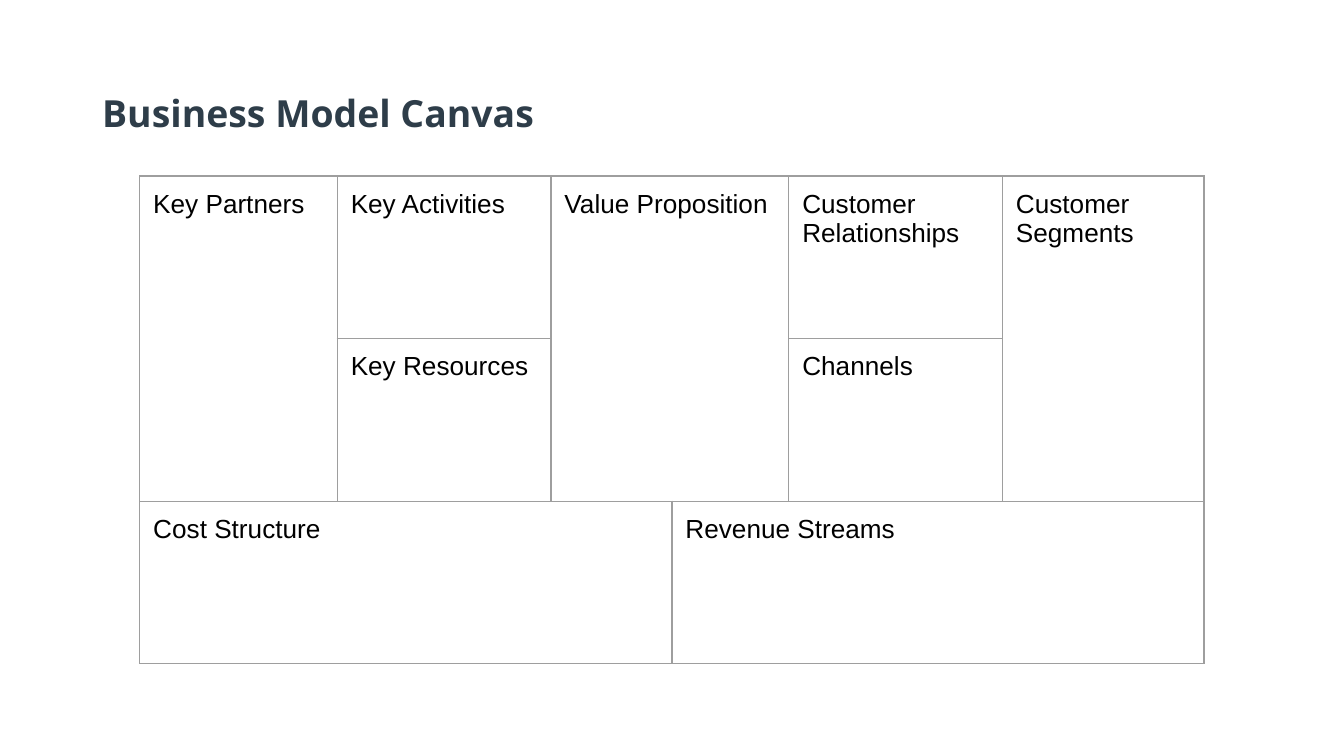
from pptx import Presentation
from pptx.dml.color import RGBColor
from pptx.enum import text
from pptx.oxml import parse_xml
from pptx.oxml.ns import nsdecls
from pptx.util import Inches, Pt

# Content: label, row, column, rows spanned, columns spanned
TITLE = "Business Model Canvas"
BLOCKS = [
    ("Key Partners", 0, 0, 2, 1),
    ("Key Activities", 0, 1, 1, 1),
    ("Key Resources", 1, 1, 1, 1),
    ("Value Proposition", 0, 2, 2, 2),
    ("Customer Relationships", 0, 4, 1, 1),
    ("Channels", 1, 4, 1, 1),
    ("Customer Segments", 0, 5, 2, 1),
    ("Cost Structure", 2, 0, 1, 3),
    ("Revenue Streams", 2, 3, 1, 3),
]
COLS = [1.47, 1.59, 0.9, 0.87, 1.59, 1.5]
ROWS = [1.21] * 3
COLORS = {"title": "2E3D49", "text": "000000", "line": "9E9E9E"}
PAD = Inches(0.1)


def style(par, font, size, color, bold=False):
    for run in par.runs:
        run.font.name = font
        run.font.size = Pt(size)
        run.font.bold = bold
        run.font.color.rgb = RGBColor.from_string(COLORS[color])


def pad(box):
    box.margin_left = box.margin_right = PAD
    box.margin_top = box.margin_bottom = PAD


def frame(cell):
    props = cell._tc.get_or_add_tcPr()
    for side in "LRTB":
        props.append(parse_xml(
            f'<a:ln{side} {nsdecls("a")} w="{Pt(0.75)}"><a:solidFill>'
            f'<a:srgbClr val="{COLORS["line"]}"/></a:solidFill></a:ln{side}>'))
    cell.fill.background()


# Widescreen page, 16:9
prs = Presentation()
prs.slide_width = Inches(10)
prs.slide_height = prs.slide_width * 9 // 16
slide = prs.slides.add_slide(prs.slide_layouts[5])

# Title
title = slide.shapes.title
title.left, title.top = Inches(0.66), Inches(0.52)
title.width, title.height = Inches(8.68), Inches(0.63)
head = title.text_frame
head.text = TITLE
head.vertical_anchor = text.MSO_ANCHOR.MIDDLE
head.auto_size = text.MSO_AUTO_SIZE.NONE
pad(head)
head.paragraphs[0].alignment = text.PP_ALIGN.LEFT
style(head.paragraphs[0], "Open Sans", 20, "title", True)

# Canvas grid
grid = slide.shapes.add_table(
    len(ROWS), len(COLS), Inches(1.04), Inches(1.31),
    Inches(sum(COLS)), Inches(sum(ROWS))).table
grid.first_row = grid.horz_banding = False
for col, width in zip(grid.columns, COLS):
    col.width = Inches(width)
for row, height in zip(grid.rows, ROWS):
    row.height = Inches(height)
for cell in grid.iter_cells():
    frame(cell)

# Canvas blocks
for label, row, col, down, wide in BLOCKS:
    cell = grid.cell(row, col)
    if down * wide > 1:
        cell.merge(grid.cell(row + down - 1, col + wide - 1))
    cell.text_frame.text = label
    cell.vertical_anchor = text.MSO_ANCHOR.TOP
    pad(cell)
    style(cell.text_frame.paragraphs[0], "Arial", 14, "text")

prs.save("out.pptx")
